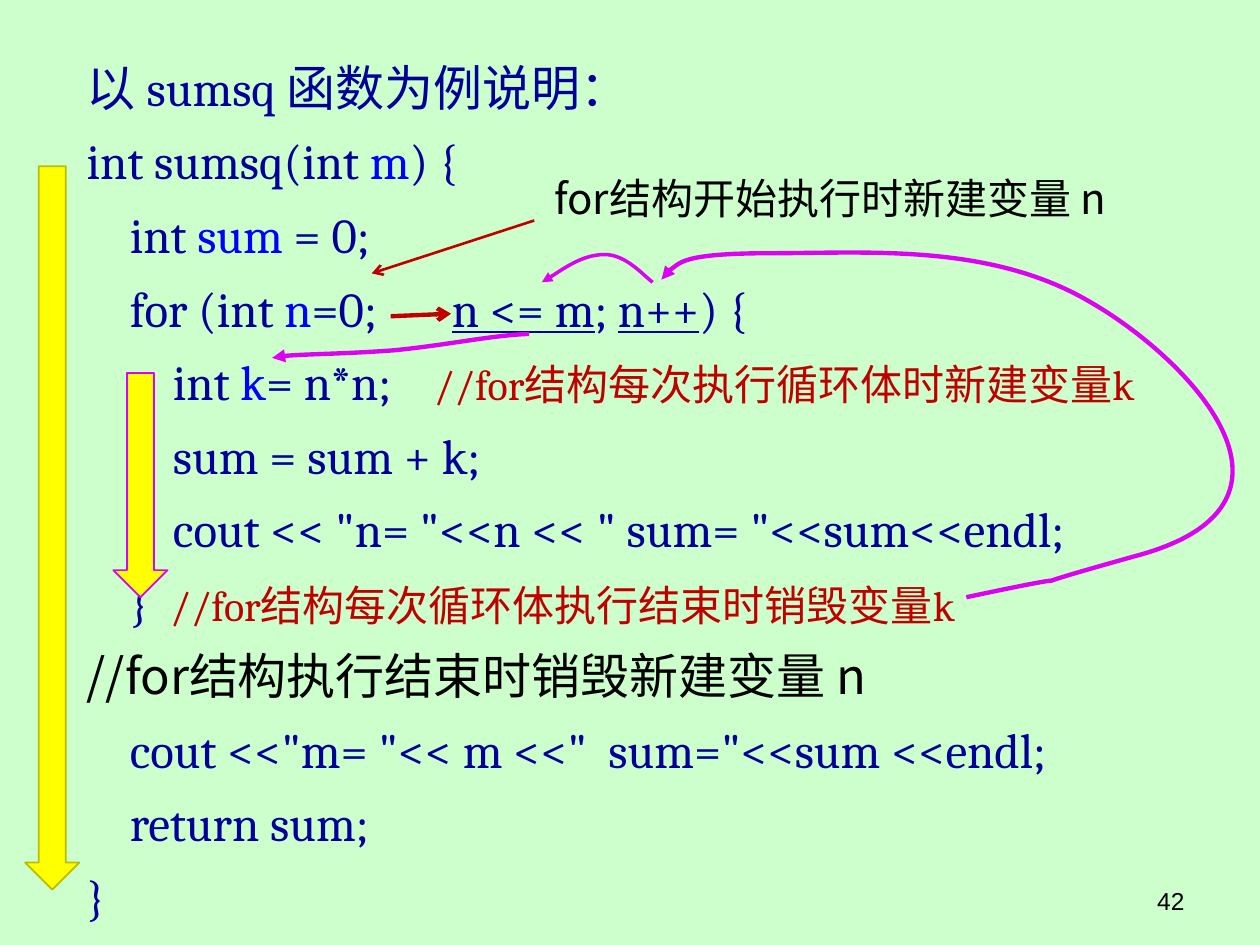
from lxml.etree import SubElement
from pptx import Presentation
from pptx.dml.color import RGBColor
from pptx.enum.shapes import MSO_CONNECTOR as Link, MSO_SHAPE as Preset
from pptx.enum.text import MSO_ANCHOR as Anchor, MSO_AUTO_SIZE as Fit, PP_ALIGN as Align
from pptx.oxml.ns import qn
from pptx.util import Inches, Pt

THEME = {
    "page": "CCFFCC", "code": "000099", "name": "0000FF", "note": "C00000",
    "text": "000000", "bar": "FFFF00", "bar_edge": "BDBD00", "loop": "DE00F2",
    "serif": "Cambria", "sans": "Noto Sans CJK SC", "number": "Arial",
    "code_size": 28, "note_size": 24, "number_size": 14,
}

# Run styles: font, size, colour, underline
STYLES = {
    "code": ("serif", "code_size", "code", False),
    "under": ("serif", "code_size", "code", True),
    "name": ("serif", "code_size", "name", False),
    "note": ("serif", "note_size", "note", False),
    "remark": ("sans", "code_size", "text", False),
    "callout": ("sans", "note_size", "text", False),
    "number": ("number", "number_size", "text", False),
}

LISTING = [
    [("以 sumsq 函数为例说明：", "code")],
    [("int sumsq(int ", "code"), ("m", "name"), (") {", "code")],
    [("    int ", "code"), ("sum", "name"), (" = 0;", "code")],
    [("    for (int ", "code"), ("n", "name"), ("=0;       ", "code"),
     ("n <= m", "under"), ("; ", "code"), ("n++", "under"), (") {", "code")],
    [("        int ", "code"), ("k", "name"), ("= n*n;    ", "code"),
     ("//for结构每次执行循环体时新建变量k", "note")],
    [("        sum = sum + k;", "code")],
    [('        cout << "n= "<<n << " sum= "<<sum<<endl;', "code")],
    [("    }  ", "code"), ("//for结构每次循环体执行结束时销毁变量k", "note")],
    [("//for结构执行结束时销毁新建变量 n", "remark")],
    [('    cout <<"m= "<< m <<"  sum="<<sum <<endl;', "code")],
    [("    return sum;", "code")],
    [("}", "code")],
]
CALLOUT = [[("for结构开始执行时新建变量 n", "callout")]]
NUMBER = [[("42", "number")]]

# Start, end, width
POINTERS = [((4.24, 1.75), (2.95, 2.17), 1.5), ((3.1, 2.51), (3.58, 2.49), 2.5)]

# Bounds, start, Bezier pieces (two controls and an end), width
BACK_TO_STEP = ((5.25, 2, 4.54, 2.74), (7.67, 4.74), [
    ((9.08, 4.44), (7.59, 4.81), (9.06, 4.4)),
    ((10.53, 3.98), (9.43, 2.84), (8.64, 2.39)),
    ((7.85, 1.93), (6.88, 2.01), (6.13, 2.01)),
    ((5.39, 2.01), (5.23, 2.19), (5.25, 2.22))], 2.5)
STEP_TO_TEST = ((4.3, 2.02, 0.88, 0.22), (5.18, 2.24), [
    ((5.11, 2.19), (4.97, 2.02), (4.8, 2.02)),
    ((4.62, 2.02), (4.39, 2.19), (4.3, 2.24))], 2)
TEST_TO_BODY = ((2.16, 2.65, 2.03, 0.19), (4.2, 2.65), [
    ((3.91, 2.66), (3.54, 2.74), (3.13, 2.78)),
    ((2.73, 2.81), (2.24, 2.81), (2.16, 2.84))], 2.5)


def colour(key):
    return RGBColor.from_string(THEME[key])


def add_text(page, place, paragraphs, spacing=1.0, align=Align.LEFT, hanging=0):
    box = page.shapes.add_textbox(*map(Inches, place))
    frame = box.text_frame
    frame.word_wrap = True
    frame.auto_size = Fit.NONE
    frame.vertical_anchor = Anchor.TOP
    for index, spans in enumerate(paragraphs):
        para = frame.paragraphs[0] if index == 0 else frame.add_paragraph()
        para.alignment = align
        para.line_spacing = spacing
        if hanging:
            props = para._p.get_or_add_pPr()
            props.set("marL", str(Inches(hanging)))
            props.set("indent", str(-Inches(hanging)))
        for text, style in spans:
            face, size, ink, underline = STYLES[style]
            span = para.add_run()
            span.text = text
            span.font.name = THEME[face]
            span.font.size = Pt(THEME[size])
            span.font.color.rgb = colour(ink)
            span.font.underline = underline
            SubElement(span.font._element, qn("a:ea"), typeface=THEME["sans"])


def add_bar(page, place, edge):
    bar = page.shapes.add_shape(Preset.DOWN_ARROW, *map(Inches, place))
    bar.shadow.inherit = False
    bar.fill.solid()
    bar.fill.fore_color.rgb = colour("bar")
    bar.line.color.rgb = colour(edge)
    bar.line.width = Pt(1)


def style_arrow(shape, ink, width, head):
    shape.line.color.rgb = colour(ink)
    shape.line.width = Pt(width)
    SubElement(shape.line._get_or_add_ln(), qn("a:tailEnd"), type=head)


def add_pointer(page, start, end, width):
    pointer = page.shapes.add_connector(Link.STRAIGHT, *map(Inches, start + end))
    style_arrow(pointer, "note", width, "arrow")
    SubElement(pointer._element.spPr, qn("a:effectLst"))


def add_curve(page, bounds, start, pieces, width):
    left, top, across, down = map(Inches, bounds)
    builder = page.shapes.build_freeform(left, top)
    builder.add_line_segments([(left + across, top + down)], close=False)
    curve = builder.convert_to_shape()

    # Lay the Bezier pieces within the bounds
    outline = next(curve._element.iter(qn("a:pathLst")))[0]
    for segment in list(outline):
        outline.remove(segment)
    for tag, points in [("a:moveTo", [start])] + [("a:cubicBezTo", p) for p in pieces]:
        segment = SubElement(outline, qn(tag))
        for x, y in points:
            SubElement(segment, qn("a:pt"), x=str(Inches(x) - left), y=str(Inches(y) - top))

    curve.shadow.inherit = False
    curve.fill.background()
    style_arrow(curve, "loop", width, "triangle")


def main():
    deck = Presentation()
    deck.slide_width, deck.slide_height = Inches(10), Inches(7.5)
    page = deck.slides.add_slide(deck.slide_layouts[6])
    page.background.fill.solid()
    page.background.fill.fore_color.rgb = colour("page")

    # Function scope bar, page number, listing and callout
    add_bar(page, (0.2, 1.32, 0.43, 5.74), "bar_edge")
    add_text(page, (7.17, 6.98, 2.33, 0.37), NUMBER, align=Align.RIGHT)
    add_text(page, (0.59, 0.29, 8.9, 6.69), LISTING, spacing=1.25, hanging=0.38)
    add_text(page, (4.3, 1.32, 4.63, 0.5), CALLOUT)

    # Loop body bar and the order of execution
    add_bar(page, (0.9, 2.96, 0.43, 1.78), "loop")
    for pointer in POINTERS:
        add_pointer(page, *pointer)
    for curve in (BACK_TO_STEP, STEP_TO_TEST, TEST_TO_BODY):
        add_curve(page, *curve)

    deck.save("out.pptx")


if __name__ == "__main__":
    main()
